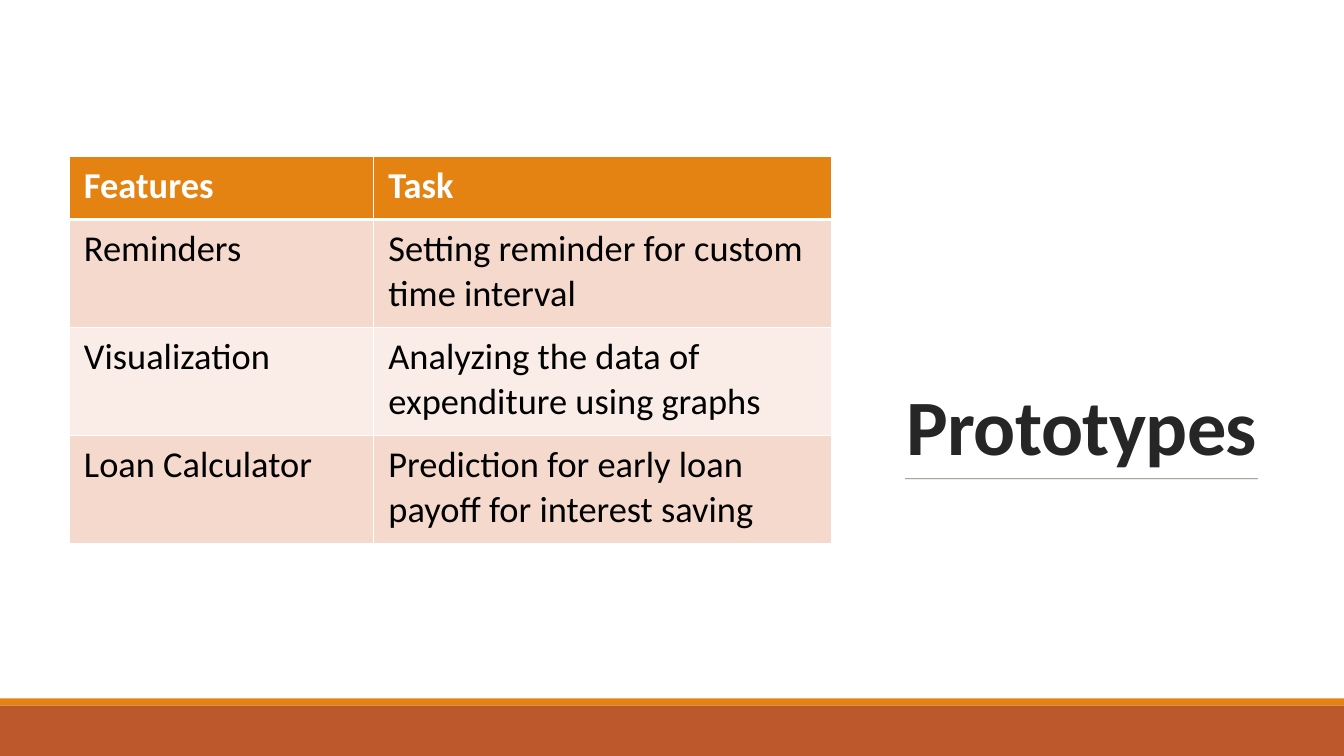
from lxml.etree import SubElement
from pptx import Presentation
from pptx.dml.color import RGBColor
from pptx.enum.shapes import MSO_CONNECTOR, MSO_SHAPE
from pptx.enum.text import MSO_ANCHOR, MSO_AUTO_SIZE, PP_ALIGN
from pptx.oxml import parse_xml
from pptx.oxml.ns import nsdecls, qn
from pptx.util import Pt

EMU_PER_PX = 9525  # 1280 x 720 px slide
FONT = "Calibri"
WHITE, ORANGE, RUST = "FFFFFF", "E48312", "BD582C"
INK, BLACK, RULE = "262626", "000000", "637052"
BAND_DARK, BAND_LIGHT = "F5D9CC", "FAEDE7"

FEATURES = [
    ("Features", "Task"),
    ("Reminders", "Setting reminder for custom time interval"),
    ("Visualization", "Analyzing the data of expenditure using graphs"),
    ("Loan Calculator", "Prediction for early loan payoff for interest saving"),
]


def px(length):
    return length * EMU_PER_PX


def rgb(color):
    return RGBColor.from_string(color)


class SlideBuilder:
    def __init__(self, slide):
        self.slide = slide
        self.shapes = slide.shapes

    def set_font(self, paragraph, size, color, bold):
        font = paragraph.font
        font.name, font.size, font.bold = FONT, Pt(size), bold
        font.color.rgb = rgb(color)

    def bar(self, x, y, width, height, color):
        bar = self.shapes.add_shape(
            MSO_SHAPE.RECTANGLE, px(x), px(y), px(width), px(height))
        bar.shadow.inherit = False
        bar.fill.solid()
        bar.fill.fore_color.rgb = rgb(color)
        bar.line.fill.background()

    def title(self, text, x, y, width, height, size):
        title = self.shapes.title
        title.left, title.top = px(x), px(y)
        title.width, title.height = px(width), px(height)
        frame = title.text_frame
        frame.text = text
        frame.word_wrap = True
        frame.auto_size = MSO_AUTO_SIZE.NONE
        frame.vertical_anchor = MSO_ANCHOR.BOTTOM
        heading = frame.paragraphs[0]
        heading.alignment = PP_ALIGN.LEFT
        heading.line_spacing = 0.85
        self.set_font(heading, size, INK, True)
        heading.runs[0].font._element.set("spc", "-50")
        # Bring the title in front of the background panel
        self.shapes._spTree.append(title._element)

    def rule(self, x1, x2, y, color, opacity):
        rule = self.shapes.add_connector(
            MSO_CONNECTOR.STRAIGHT, px(x1), px(y), px(x2), px(y))
        rule.line.width = Pt(0.5)
        rule.line.color.rgb = rgb(color)
        tint = rule._element.find(".//" + qn("a:srgbClr"))
        SubElement(tint, qn("a:alpha"), val=str(opacity * 1000))
        SubElement(rule._element.spPr, qn("a:effectLst"))

    def cell(self, cell, text, size, color, fill, bold, borders):
        cell.text = text
        cell.margin_left = cell.margin_right = px(14)
        cell.margin_top = cell.margin_bottom = px(7)
        self.set_font(cell.text_frame.paragraphs[0], size, color, bold)
        cell.fill.solid()
        cell.fill.fore_color.rgb = rgb(fill)
        properties = cell._tc.get_or_add_tcPr()
        for position, (side, width) in enumerate(borders.items()):
            properties.insert(position, parse_xml(
                f'<a:ln{side} {nsdecls("a")} w="{Pt(width)}"><a:solidFill>'
                f'<a:srgbClr val="{WHITE}"/></a:solidFill></a:ln{side}>'))

    def table(self, rows, x, y, columns, heights, size):
        table = self.shapes.add_table(
            len(rows), len(columns), px(x), px(y),
            px(sum(columns)), px(sum(heights))).table
        for column, width in zip(table.columns, columns):
            column.width = px(width)
        for r, (texts, height) in enumerate(zip(rows, heights)):
            table.rows[r].height = px(height)
            header = r == 0
            fill = ORANGE if header else BAND_DARK if r % 2 else BAND_LIGHT
            # A thicker border separates the header from the body
            borders = {"L": 1, "R": 1, "T": 3 if r == 1 else 1,
                       "B": 3 if header else 1}
            for c, text in enumerate(texts):
                self.cell(table.cell(r, c), text, size,
                          WHITE if header else BLACK, fill, header, borders)


def main():
    deck = Presentation()
    deck.slide_width, deck.slide_height = px(1280), px(720)
    slide = deck.slides.add_slide(deck.slide_layouts[0])
    subtitle = slide.placeholders[1]._element
    subtitle.getparent().remove(subtitle)
    builder = SlideBuilder(slide)

    # Background panel and heading
    builder.bar(0, 0, 1280, 665, WHITE)
    builder.title("Prototypes", 854, 67, 358, 387, size=56)
    builder.rule(862, 1198, 456, RULE, opacity=90)

    # Footer bands
    builder.bar(0, 665, 1280, 7, ORANGE)
    builder.bar(0, 672, 1280, 48, RUST)

    # Feature table
    builder.table(FEATURES, 66, 149, columns=[290, 436],
                  heights=[60, 103, 103, 103], size=26)

    deck.save("out.pptx")


if __name__ == "__main__":
    main()
